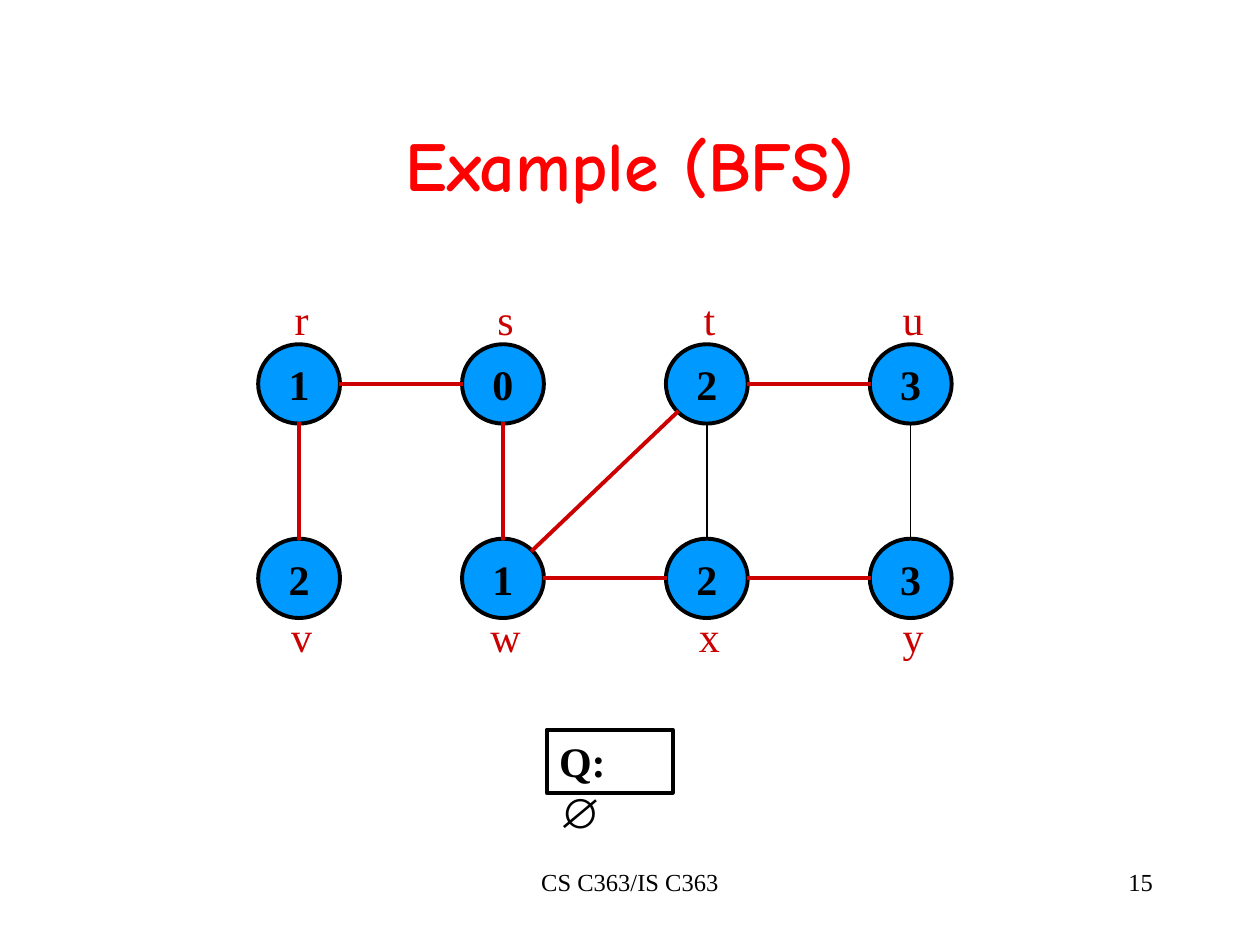
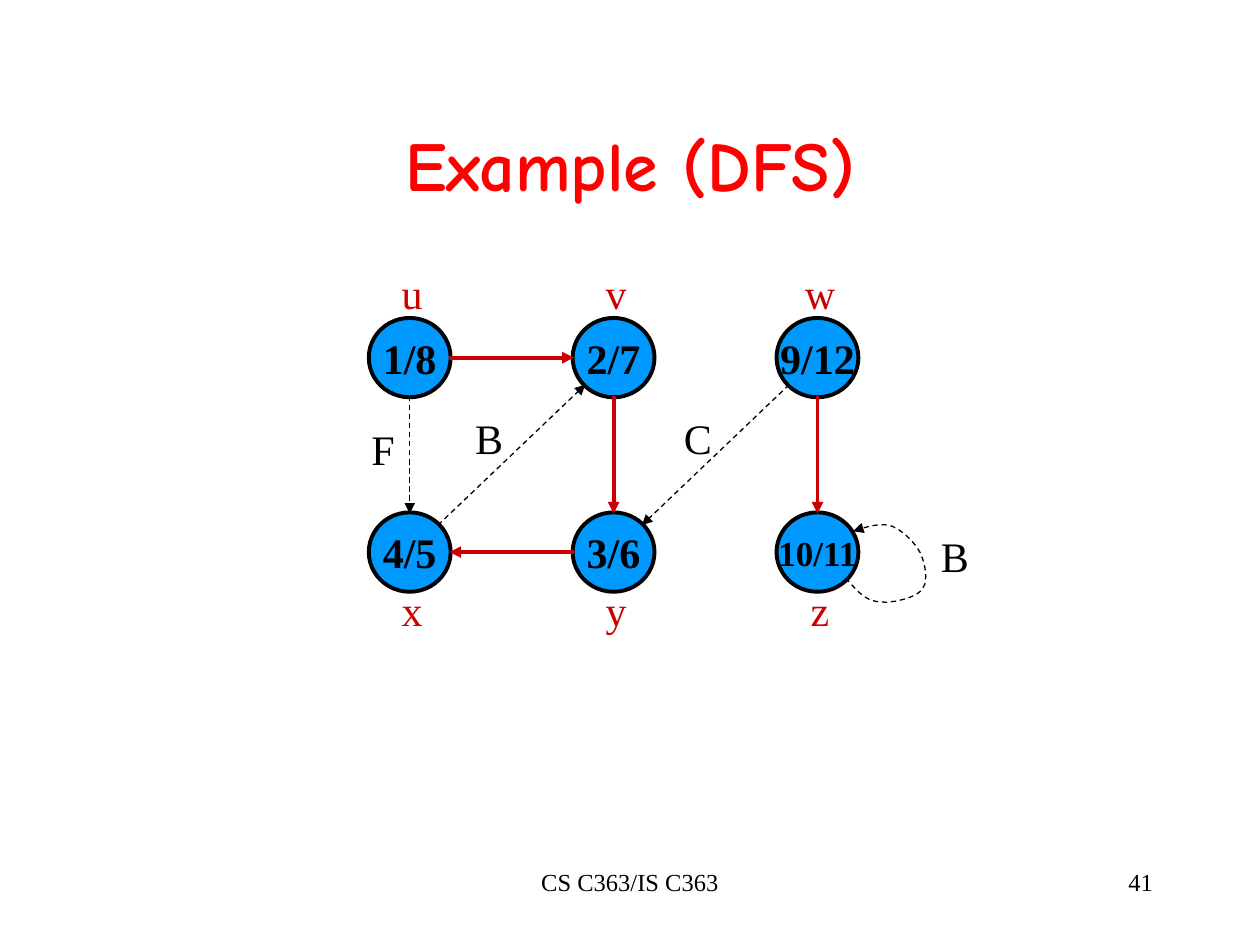
from math import hypot

from lxml import etree
from pptx import Presentation
from pptx.dml.color import RGBColor
from pptx.enum import dml, shapes, text
from pptx.oxml.ns import qn
from pptx.util import Cm, Pt

# Shared look
SERIF = "Times New Roman"
BLACK, RED, BLUE, TITLE = "000000", "CC0000", "0099FF", "FF0000"
THICK, THIN = 2.24, 0.74
LEFT, MID, RIGHT = text.PP_ALIGN.LEFT, text.PP_ALIGN.CENTER, text.PP_ALIGN.RIGHT

# Graph grid, in cm
WIDE, HIGH = 1.65, 1.6
STEP, DROP = 4.11, 3.92
BOX = 1.27

# Self-loop, relative to the centre of its node: a start, then cubic curves
START = (0.57, 0.52)
CURVES = [
    ((0.77, 0.75), (0.95, 0.98), (1.21, 1.0)),
    ((1.46, 1.05), (1.97, 0.93), (2.1, 0.77)),
    ((2.25, 0.6), (2.17, 0.22), (2.07, 0.01)),
    ((1.97, -0.19), (1.71, -0.44), (1.51, -0.52)),
    ((1.28, -0.6), (1.0, -0.52), (0.72, -0.42)),
]


def paint(code):
    return RGBColor.from_string(code)


def write(frame, words, size=24, font=SERIF, color=BLACK, bold=False,
          align=MID, anchor=text.MSO_ANCHOR.TOP, wrap=False):
    frame.word_wrap = wrap
    frame.vertical_anchor = anchor
    para = frame.paragraphs[0]
    para.alignment = align
    run = para.add_run()
    run.text = words
    run.font.size, run.font.name, run.font.bold = Pt(size), font, bold
    run.font.color.rgb = paint(color)
    return para


def label(slide, words, x, y, wide=BOX, **form):
    """Text box centred on x, with its top at y."""
    box = slide.shapes.add_textbox(Cm(x - wide / 2), Cm(y), Cm(wide), Cm(BOX))
    write(box.text_frame, words, **form)


def stroke(shape, color, width, dash=False, arrow=False):
    shape.line.color.rgb = paint(color)
    shape.line.width = Pt(width)
    if dash:
        shape.line.dash_style = dml.MSO_LINE.DASH
    if arrow:
        etree.SubElement(shape.get_or_add_ln(), qn("a:tailEnd"), type="triangle")


def node(slide, x, y, words, size=24):
    disc = slide.shapes.add_shape(shapes.MSO_SHAPE.OVAL, Cm(x - WIDE / 2),
                                  Cm(y - HIGH / 2), Cm(WIDE), Cm(HIGH))
    disc.shadow.inherit = False
    disc.fill.solid()
    disc.fill.fore_color.rgb = paint(BLUE)
    stroke(disc, BLACK, THICK)
    write(disc.text_frame, words, size=size, bold=True,
          anchor=text.MSO_ANCHOR.MIDDLE)


def edge(slide, start, end, color=RED, width=THICK, **form):
    """Line between the rims of two nodes, given by their centres."""
    dx, dy = end[0] - start[0], end[1] - start[1]
    part = 0.97 / hypot(dx / (WIDE / 2), dy / (HIGH / 2))
    dx, dy = dx * part, dy * part
    line = slide.shapes.add_connector(
        shapes.MSO_CONNECTOR.STRAIGHT, Cm(start[0] + dx), Cm(start[1] + dy),
        Cm(end[0] - dx), Cm(end[1] - dy))
    stroke(line, color, width, **form)
    etree.SubElement(line._element.spPr, qn("a:effectLst"))


def loop(slide, x, y):
    spots, last = [START], START
    for one, two, end in CURVES:
        for t in (0.2, 0.4, 0.6, 0.8, 1):
            s = 1 - t
            spots.append(tuple(
                s**3 * a + 3 * s * s * t * b + 3 * s * t * t * c + t**3 * d
                for a, b, c, d in zip(last, one, two, end)))
        last = end
    spots = [(Cm(x + a), Cm(y + b)) for a, b in spots]
    build = slide.shapes.build_freeform(*spots[0])
    build.add_line_segments(spots[1:], close=False)
    curve = build.convert_to_shape()
    curve.shadow.inherit = False
    curve.fill.background()
    stroke(curve, BLACK, THIN, dash=True, arrow=True)


def graph(slide, x, y, rows):
    """Two rows of (name, value) nodes; returns the centres by name."""
    spots = {}
    for row, cells in enumerate(rows):
        for col, (name, value) in enumerate(cells):
            cx, cy = x + col * STEP, y + row * DROP
            spots[name] = cx, cy
            node(slide, cx, cy, value, size=20 if len(value) > 4 else 24)
            gap = 0.52 if row else -1.94
            label(slide, name, cx + 0.05, cy + gap, color=RED)
    return spots


def page(deck, title, number):
    slide = deck.slides.add_slide(deck.slide_layouts[5])
    head = slide.shapes.title
    head.left, head.top, head.width, head.height = map(
        Cm, (1.91, 1.7, 21.59, 3.18))
    write(head.text_frame, title, size=40, font="Comic Neue", color=TITLE,
          bold=True, anchor=text.MSO_ANCHOR.MIDDLE, wrap=True)
    # Footer and page number
    label(slide, "CS C363/IS C363", 12.7, 17.35, wide=8.05, size=14, wrap=True)
    label(slide, number, 20.85, 17.35, wide=5.28, size=14, align=RIGHT, wrap=True)
    return slide


def queue(slide):
    box = slide.shapes.add_shape(shapes.MSO_SHAPE.RECTANGLE, Cm(11.02),
                                 Cm(14.71), Cm(2.54), Cm(BOX))
    box.shadow.inherit = False
    box.fill.background()
    stroke(box, BLACK, THICK)
    para = write(box.text_frame, "Q:", bold=True, align=LEFT)
    para.add_line_break()
    write(box.text_frame, "∅", font="Arial", align=LEFT)


def breadth(deck):
    slide = page(deck, "Example (BFS)", "15")
    at = graph(slide, 6.03, 7.74, [zip("rstu", "1023"), zip("vwxy", "2123")])
    for a, b in ("rs", "rv", "sw", "wt", "wx", "tu", "xy"):
        edge(slide, at[a], at[b])
    for a, b in ("tx", "uy"):
        edge(slide, at[a], at[b], color=BLACK, width=THIN)
    queue(slide)


def depth(deck):
    slide = page(deck, "Example (DFS)", "41")
    at = graph(slide, 8.26, 7.21, [zip("uvw", ("1/8", "2/7", "9/12")),
                                   zip("xyz", ("4/5", "3/6", "10/11"))])
    # Tree edges, then the other kinds
    for a, b in ("uv", "vy", "yx", "wz"):
        edge(slide, at[a], at[b], arrow=True)
    for a, b in ("ux", "xv", "wy"):
        edge(slide, at[a], at[b], color=BLACK, width=THIN, dash=True, arrow=True)
    loop(slide, *at["z"])
    for kind, x, y in (("F", 7.72, 8.41), ("B", 9.86, 8.2),
                       ("C", 14.07, 8.2), ("B", 19.25, 10.57)):
        label(slide, kind, x, y)


def main():
    deck = Presentation()
    deck.slide_width, deck.slide_height = Cm(25.4), Cm(19.05)
    breadth(deck)
    depth(deck)
    deck.save("out.pptx")


main()
